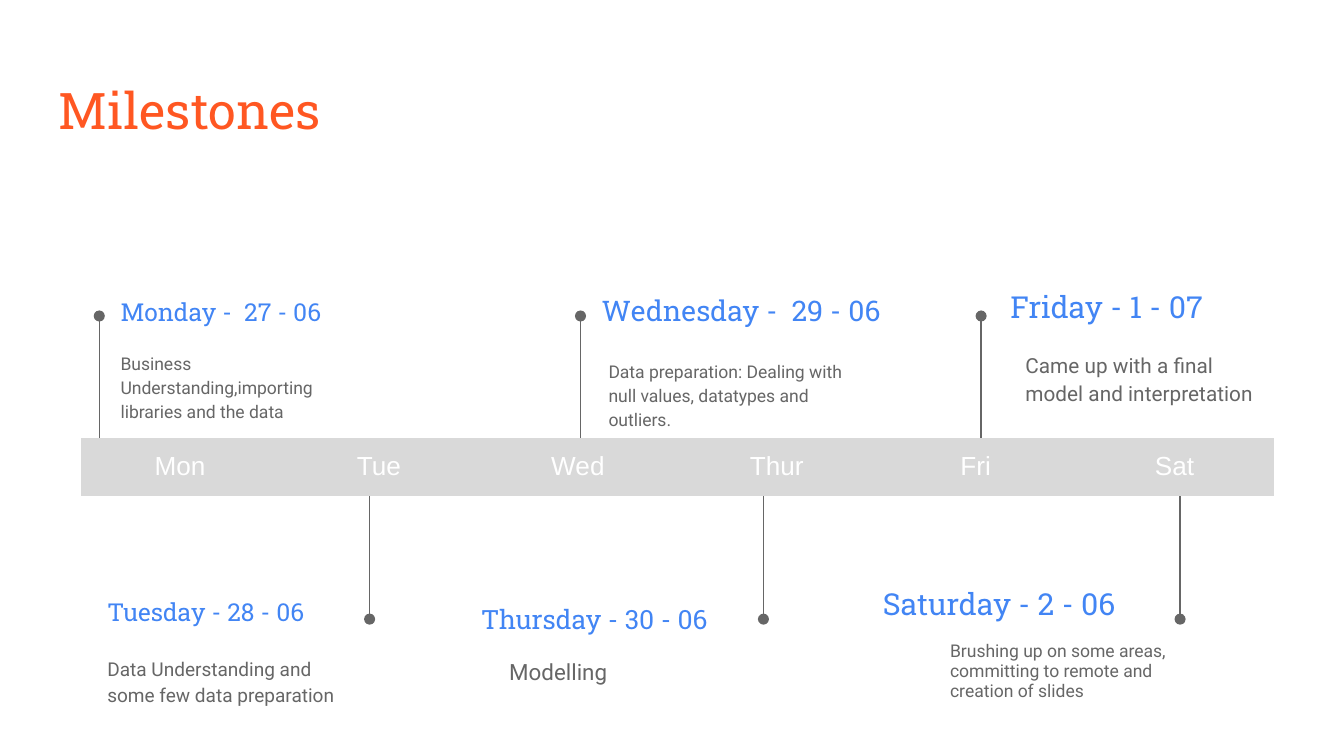
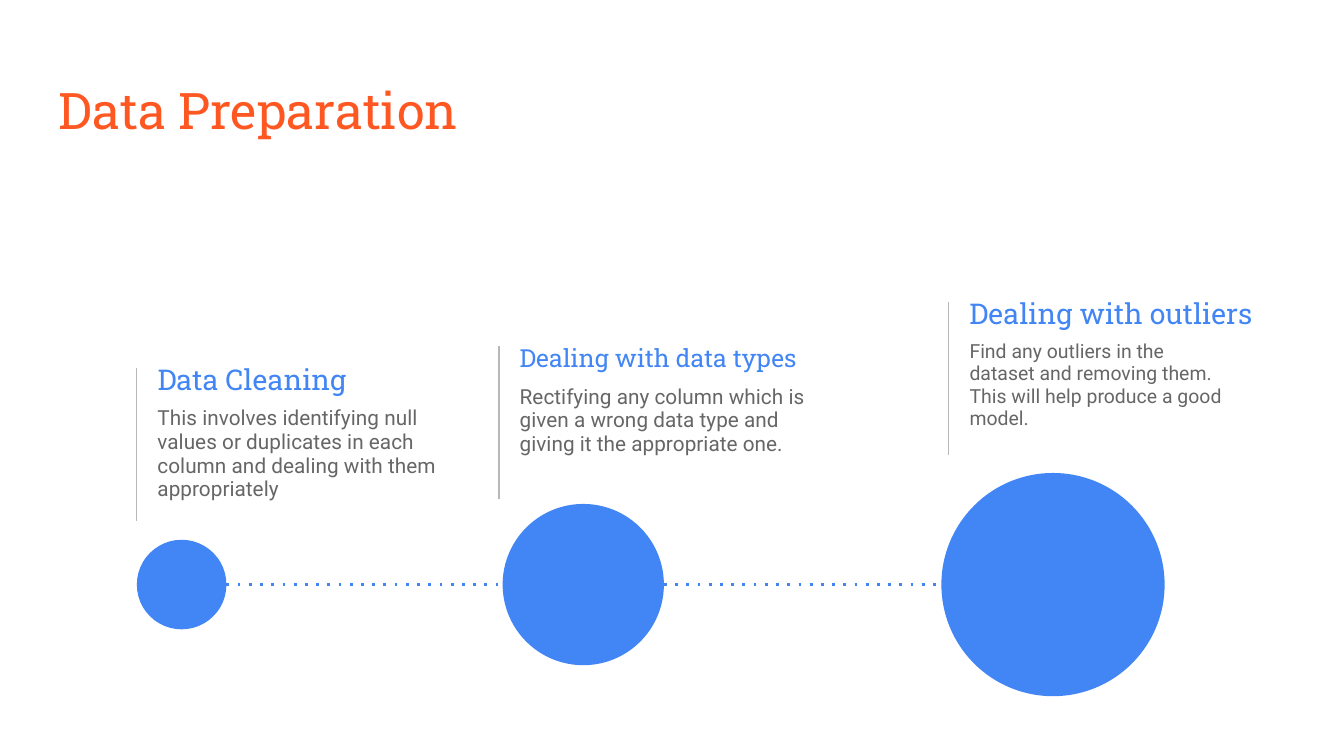
from dataclasses import dataclass

import pptx
import pptx.util
import pptx.dml.color
import pptx.enum.shapes
import pptx.enum.text
import pptx.oxml.ns
from lxml import etree

Pt = pptx.util.Pt
ANCHOR = pptx.enum.text.MSO_ANCHOR


@dataclass(frozen=True)
class Theme:
    """Colours, fonts and type sizes shared by the slides."""
    title: str = "FF5722"
    accent: str = "4285F4"
    text: str = "666666"
    rule: str = "B7B7B7"
    strip: str = "D9D9D9"
    light: str = "FFFFFF"
    slab: str = "Roboto Slab"
    sans: str = "Roboto"
    plain: str = "Arial"
    title_size: float = 27
    strip_size: float = 14
    inset: float = 7.2
    thin: float = 0.75
    dotted: float = 1.5


THEME = Theme()
WIDTH, HEIGHT = 720, 405
TITLE_BOX = (24.5, 35.3, 671, 45.4)
STRIP_BOX = (43.2, 234.7, 639.4, 30.4)
FLOW_BOX = (73.3, 162, 551, 211)
HEADING_H = 31
DAYS = ["Mon", "Tue", "Wed", "Thur", "Fri", "Sat"]


@dataclass(frozen=True)
class Note:
    """A heading and its text, each with an offset, width and size."""
    heading: str
    heading_at: tuple
    heading_size: float
    body: str
    body_at: tuple
    body_size: float
    spacing: float = 1.15


MILESTONES = [
    (10, Note("Monday -  27 - 06", (4.3, -18, 142.6), 13.2,
              "Business Understanding,importing libraries and the data",
              (4.3, 10.8, 142.6), 9.4)),
    (154.8, Note("Tuesday - 28 - 06", (-147.6, -19.4, 142.6), 13.2,
                 "Data Understanding and some few data preparation",
                 (-147.6, 11.5, 142.6), 10.2)),
    (267.8, Note("Wednesday -  29 - 06", (4.3, -18.5, 189.4), 15.2,
                 "Data preparation: Dealing with null values, datatypes and outliers.",
                 (7.9, 15.3, 142.6), 9.4)),
    (365.8, Note("Thursday - 30 - 06", (-158.4, -15.8, 157.7), 14.2,
                 "Modelling", (-143.3, 11.5, 142.6), 12)),
    (482.4, Note("Friday - 1 - 07", (8.6, -20.7, 142.6), 16.2,
                 "Came up with a final model and interpretation",
                 (16.6, 10.3, 142.6), 11.1)),
    (589, Note("Saturday - 2 - 06", (-166.3, -23.8, 177.8), 16.2,
               "Brushing up on some areas, committing to remote and creation of slides",
               (-130.3, 5, 142.6), 9.4, 0.95)),
]

STEPS = [
    (0, 35.3, 0, 48, Note(
        "Data Cleaning", (4, -9.5, 142.6), 15.3,
        "This involves identifying null values or duplicates in each column "
        "and dealing with them appropriately", (4, 13.6, 163.4), 11.1, 0.95)),
    (194, 23.6, 196, 86.4, Note(
        "Dealing with data types", (4, -9.5, 191.5), 13.3,
        "Rectifying any column which is given a wrong data type and giving "
        "it the appropriate one.", (4, 13.6, 171.4), 11.1, 0.95)),
    (435, 0, 431, 119.6, Note(
        "Dealing with outliers", (4, -9.5, 196.6), 15.3,
        "Find any outliers in the dataset and removing them. This will help "
        "produce a good model.", (4, 13.6, 151.9), 10.4, 0.95)),
]


def rgb(value):
    """Return a colour object for a hex value."""
    return pptx.dml.color.RGBColor.from_string(value)


def style(p, font, size, color):
    """Format every run of a paragraph."""
    for r in p.runs:
        r.font.name, r.font.size, r.font.bold = font, Pt(size), False
        r.font.color.rgb = rgb(color)


def add_text(s, box, text, font, size, color, anchor=ANCHOR.TOP, spacing=1.0):
    """Add a wrapped text box."""
    tf = s.shapes.add_textbox(*map(Pt, box)).text_frame
    tf.word_wrap, tf.vertical_anchor = True, anchor
    tf.margin_left = tf.margin_right = Pt(THEME.inset)
    tf.margin_top = tf.margin_bottom = Pt(THEME.inset)
    tf.text = text
    p = tf.paragraphs[0]
    p.line_spacing = spacing
    style(p, font, size, color)


def add_line(s, start, end, color, width, **ends):
    """Add a straight line with optional dash or tail settings."""
    line = s.shapes.add_connector(
        pptx.enum.shapes.MSO_CONNECTOR.STRAIGHT, *map(Pt, (*start, *end)))
    line.line.color.rgb, line.line.width = rgb(color), Pt(width)
    ln = line.line._get_or_add_ln()
    for tag, value in ends.items():
        key = "val" if tag == "prstDash" else "type"
        etree.SubElement(ln, pptx.oxml.ns.qn("a:" + tag)).set(key, value)
    etree.SubElement(line._element.spPr, pptx.oxml.ns.qn("a:effectLst"))


def add_title(s, text):
    """Add the slide title."""
    add_text(s, TITLE_BOX, text, THEME.slab, THEME.title_size, THEME.title)


def add_note(s, x, y, note):
    """Place a heading and its text relative to a point."""
    (hx, hy, hw), (bx, by, bw) = note.heading_at, note.body_at
    add_text(s, (x + hx, y + hy, hw, HEADING_H), note.heading, THEME.slab,
             note.heading_size, THEME.accent, ANCHOR.MIDDLE)
    add_text(s, (x + bx, y + by, bw, 45.4), note.body, THEME.sans,
             note.body_size, THEME.text, spacing=note.spacing)


def add_strip(s, box):
    """Add the borderless table of weekdays."""
    frame = s.shapes.add_table(1, len(DAYS), *map(Pt, box))
    table = frame.table
    table.first_row = table.horz_banding = False
    for cell, day in zip(table.rows[0].cells, DAYS):
        tc_pr = cell._tc.get_or_add_tcPr()
        for side in "LRTB":
            ln = etree.SubElement(tc_pr, pptx.oxml.ns.qn("a:ln" + side))
            etree.SubElement(ln, pptx.oxml.ns.qn("a:noFill"))
        cell.fill.solid()
        cell.fill.fore_color.rgb = rgb(THEME.strip)
        cell.margin_top = cell.margin_bottom = Pt(THEME.inset)
        cell.text = day
        p = cell.text_frame.paragraphs[0]
        p.alignment = pptx.enum.text.PP_ALIGN.CENTER
        style(p, THEME.plain, THEME.strip_size, THEME.light)


def add_timeline(s, box):
    """Add the weekday strip with pins alternating above and below it."""
    left, top, _, height = box
    stem = 66
    for i, (dx, note) in enumerate(MILESTONES):
        x = left + dx
        start, end = ((top + height + 0.6, top + height + 0.6 + stem) if i % 2
                      else (top, top - stem + 0.6))
        add_line(s, (x, start), (x, end), THEME.text, THEME.thin, tailEnd="oval")
        add_note(s, x, end, note)
    add_strip(s, box)


def add_flow(s, box):
    """Add growing circles on a dotted line, each with a ruled note."""
    left, top, width, height = box
    middle = top + height - STEPS[-1][3] / 2
    add_line(s, (left + STEPS[0][3], middle), (left + STEPS[-1][2], middle),
             THEME.accent, THEME.dotted, prstDash="dot")
    for rule_x, rule_y, circle_x, size, note in STEPS:
        x, y = left + rule_x, top + rule_y
        add_line(s, (x, y), (x, y + 81.6), THEME.rule, THEME.thin)
        add_note(s, x, y, note)
        circle = s.shapes.add_shape(
            pptx.enum.shapes.MSO_SHAPE.OVAL,
            *map(Pt, (left + circle_x, middle - size / 2, size, size)))
        circle.shadow.inherit = False
        circle.fill.solid()
        circle.fill.fore_color.rgb = rgb(THEME.accent)
        circle.line.fill.background()


def main():
    """Build and save the presentation."""
    prs = pptx.Presentation()
    prs.slide_width, prs.slide_height = Pt(WIDTH), Pt(HEIGHT)
    for title, region, box in (("Milestones", add_timeline, STRIP_BOX),
                               ("Data Preparation", add_flow, FLOW_BOX)):
        s = prs.slides.add_slide(prs.slide_layouts[6])
        add_title(s, title)
        region(s, box)
    prs.save("out.pptx")


if __name__ == "__main__":
    main()
